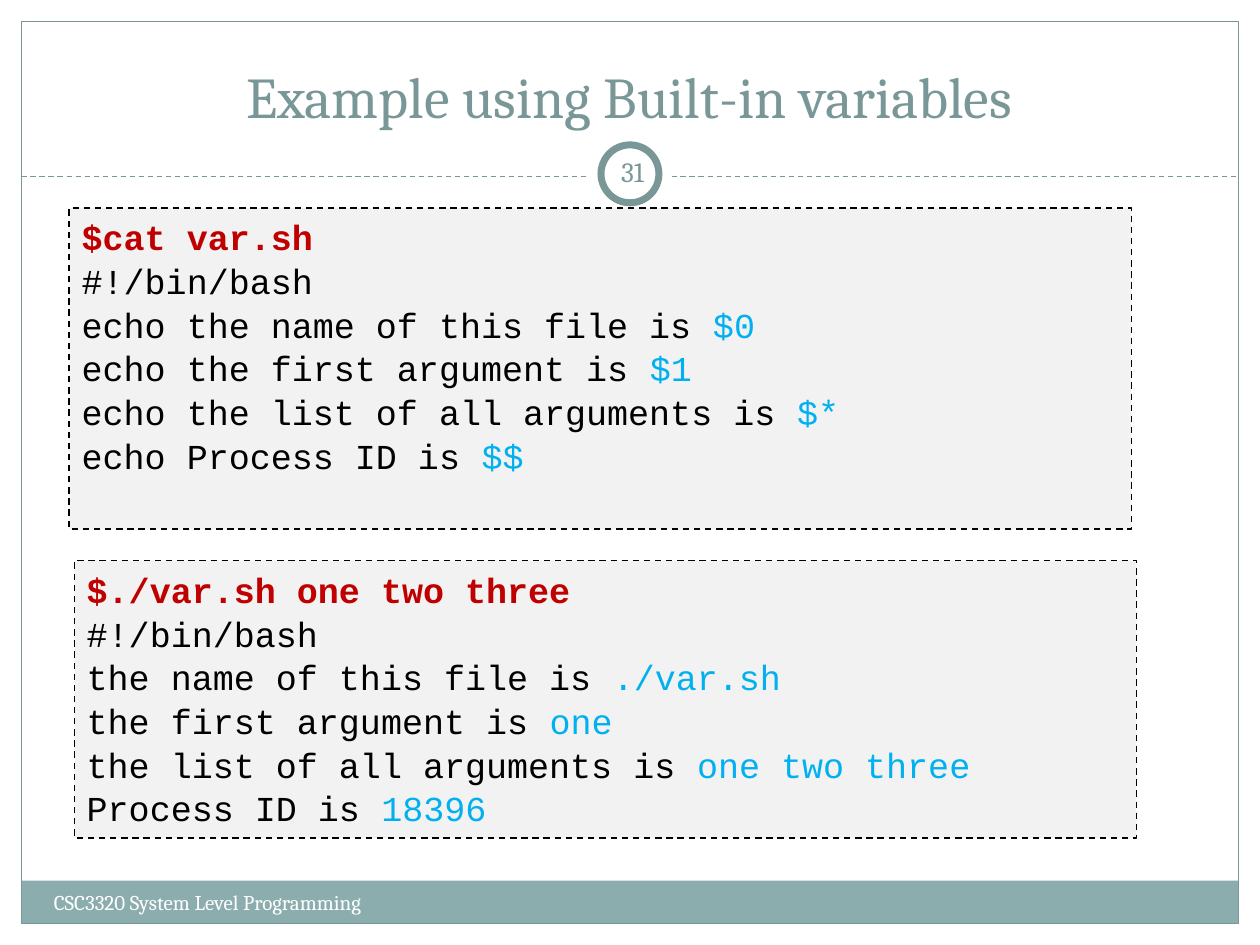
from pptx import Presentation
from pptx.util import Inches, Pt
from pptx.dml.color import RGBColor
from pptx.enum.dml import MSO_LINE
from pptx.enum.shapes import MSO_SHAPE as Kind, MSO_CONNECTOR as Link
from pptx.enum.text import PP_ALIGN as Align, MSO_ANCHOR as Anchor
from pptx.oxml.ns import qn
from lxml.etree import SubElement

WIDE, HIGH = 10, 7.5
TEAL, BAND, WHITE = "7A9798", "8CADAE", "FFFFFF"
BLACK, RED, BLUE, GREY = "000000", "C00000", "00B0F0", "F2F2F2"


def tint(code):
    return RGBColor.from_string(code)


class Deck:
    serif, mono = "Cambria", "Courier New"

    def __init__(self):
        self.prs = Presentation()
        self.prs.slide_width, self.prs.slide_height = Inches(WIDE), Inches(HIGH)
        self.slide = self.prs.slides.add_slide(self.prs.slide_layouts[6])

    def spot(self, x, y, w, h):
        sides = self.prs.slide_width, self.prs.slide_height
        return [round(part * sides[i % 2]) for i, part in enumerate((x / WIDE, y / HIGH, w / WIDE, h / HIGH))]

    def pen(self, line, color, width, dash=False):
        line.color.rgb, line.width = tint(color), Pt(width)
        if dash:
            line.dash_style = MSO_LINE.DASH

    def shape(self, kind, box, fill=None, line=None, width=0.75, dash=False):
        item = self.slide.shapes.add_shape(kind, *self.spot(*box))
        item.shadow.inherit = False
        if fill:
            item.fill.solid()
            item.fill.fore_color.rgb = tint(fill)
        else:
            item.fill.background()
        if line:
            self.pen(item.line, line, width, dash)
        else:
            item.line.fill.background()
        return item

    def rule(self, x, y, w):
        left, top, span, _ = self.spot(x, y, w, 0)
        item = self.slide.shapes.add_connector(Link.STRAIGHT, left, top, left + span, top)
        self.pen(item.line, TEAL, 0.75, True)
        SubElement(item._element.spPr, qn("a:effectLst"))

    def run(self, para, text, font, size, color, bold=False):
        run = para.add_run()
        run.text = text
        run.font.name, run.font.size, run.font.bold = font, Pt(size), bold
        run.font.color.rgb = tint(color)

    def text(self, box, words, size, color, align=Align.LEFT, anchor=Anchor.TOP, pad=0.1):
        frame = self.slide.shapes.add_textbox(*self.spot(*box)).text_frame
        frame.word_wrap, frame.vertical_anchor = True, anchor
        frame.margin_left = frame.margin_right = Inches(pad)
        para = frame.paragraphs[0]
        para.alignment = align
        self.run(para, words, self.serif, size, color)

    def code(self, box, head, rows):
        frame = self.shape(Kind.RECTANGLE, box, GREY, BLACK, 0.9, True).text_frame
        frame.word_wrap, frame.vertical_anchor = True, Anchor.TOP
        lines = [[(head, RED)], [("#!/bin/bash", BLACK)]]
        lines += [[(words, BLACK), (value, BLUE)] for words, value in rows]
        for i, parts in enumerate(lines):
            para = frame.add_paragraph() if i else frame.paragraphs[0]
            para.alignment, para.line_spacing = Align.LEFT, 1.04
            for words, color in parts:
                self.run(para, words, self.mono, 20, color, color == RED)


def main():
    deck = Deck()
    edge = 0.17
    span = WIDE - 2 * edge
    deck.shape(Kind.RECTANGLE, (edge, 6.99, span, 0.34), BAND)
    deck.shape(Kind.RECTANGLE, (edge, edge, span, HIGH - 2 * edge), line=TEAL)
    deck.rule(edge, 1.4, span)
    for size, line in ((0.67, None), (0.46, TEAL)):
        deck.shape(Kind.OVAL, ((WIDE - size) / 2, 1.38 - size / 2, size, size), WHITE, line, 4)

    deck.text((0.33, 0.25, 9.33, 0.83), "Example using Built-in variables", 33, TEAL, Align.CENTER, Anchor.BOTTOM)
    deck.text((0.33, 7.01, 3.92, 0.4), "CSC3320 System Level Programming", 12, WHITE)
    deck.text((4.77, 1.12, 0.5, 0.48), "31", 16, TEAL, Align.CENTER, Anchor.MIDDLE, 0.05)

    asks = ["the name of this file is ", "the first argument is ", "the list of all arguments is ", "Process ID is "]
    names = ["$0", "$1", "$*", "$$"]
    values = ["./var.sh", "one", "one two three", "18396"]
    deck.code((0.55, 1.65, 8.43, 2.55), "$cat var.sh", [("echo " + ask, name) for ask, name in zip(asks, names)])
    deck.code((0.59, 4.45, 8.43, 2.2), "$./var.sh one two three", zip(asks, values))
    deck.prs.save("out.pptx")


if __name__ == "__main__":
    main()
